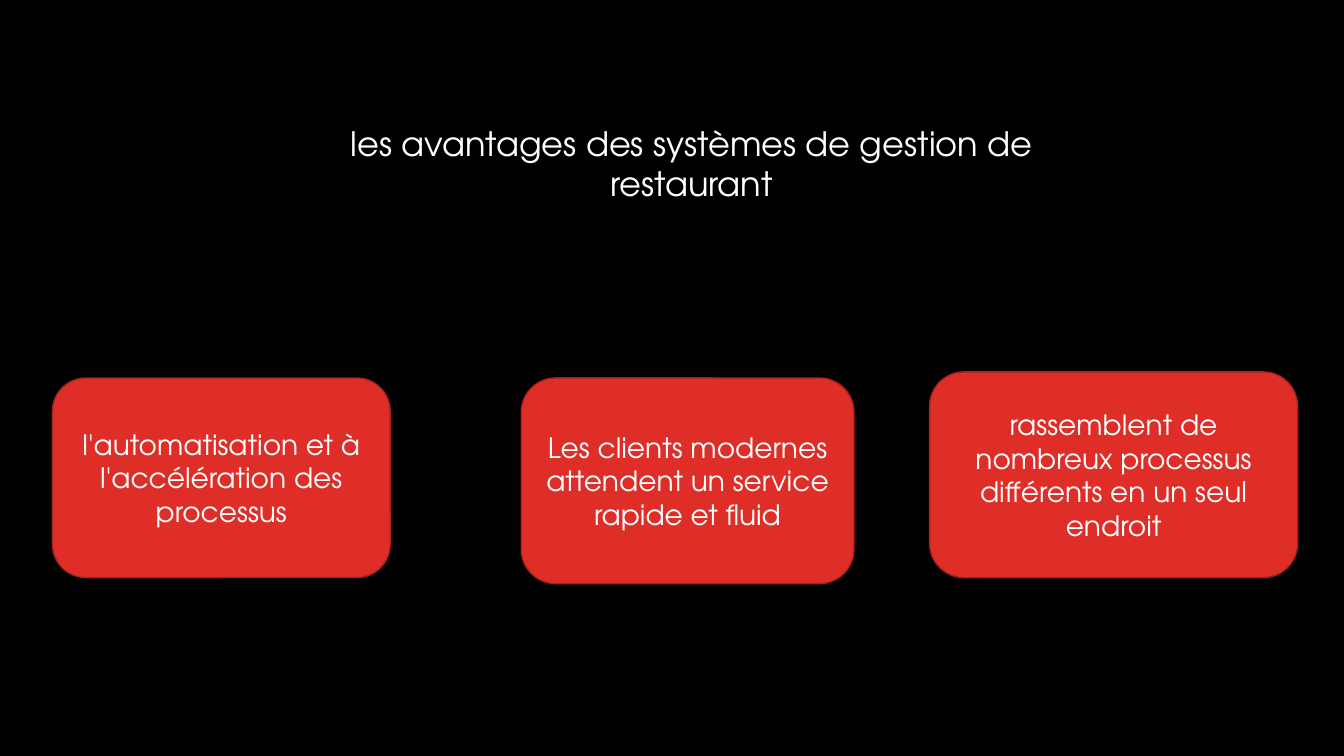
from pptx import Presentation
from pptx.dml.color import RGBColor
from pptx.enum.shapes import MSO_SHAPE
from pptx.enum.text import MSO_ANCHOR, MSO_AUTO_SIZE, PP_ALIGN
from pptx.util import Inches, Pt

FONT = "TeX Gyre Adventor"
BLACK, WHITE, RED, DARK_RED = "000000", "FFFFFF", "DF2E28", "A5221E"

TITLE = "les avantages des systèmes de gestion de restaurant"
TITLE_PLACE = (2.64, 1.17, 8.44, 1.31)
ADVANTAGES = [
    ("l'automatisation et à l'accélération des processus", (0.52, 3.75, 3.35, 1.98)),
    ("Les clients modernes attendent un service rapide et fluid", (5.17, 3.75, 3.3, 2.04)),
    ("rassemblent de nombreux processus différents en un seul endroit", (9.22, 3.69, 3.65, 2.04)),
]


def color(value):
    return RGBColor.from_string(value)


def write(shape, text, size, anchor):
    frame = shape.text_frame
    frame.word_wrap = True
    frame.auto_size = MSO_AUTO_SIZE.NONE
    frame.vertical_anchor = anchor
    para = frame.paragraphs[0]
    para.alignment = PP_ALIGN.CENTER
    span = para.add_run()
    span.text = text
    span.font.name = FONT
    span.font.size = Pt(size)
    span.font.color.rgb = color(WHITE)


def add_advantage(page, text, place):
    box = page.shapes.add_shape(MSO_SHAPE.ROUNDED_RECTANGLE, *map(Inches, place))
    box.shadow.inherit = False
    box.fill.solid()
    box.fill.fore_color.rgb = color(RED)
    box.line.color.rgb = color(DARK_RED)
    box.line.width = Pt(1)
    write(box, text, 20, MSO_ANCHOR.MIDDLE)


def main():
    deck = Presentation()
    deck.slide_width, deck.slide_height = Inches(13.33), Inches(7.5)
    page = deck.slides.add_slide(deck.slide_layouts.get_by_name("Title Only"))
    page.background.fill.solid()
    page.background.fill.fore_color.rgb = color(BLACK)

    title = page.shapes.title
    title.left, title.top, title.width, title.height = map(Inches, TITLE_PLACE)
    write(title, TITLE, 24, MSO_ANCHOR.TOP)

    for text, place in ADVANTAGES:
        add_advantage(page, text, place)

    deck.save("out.pptx")


if __name__ == "__main__":
    main()
